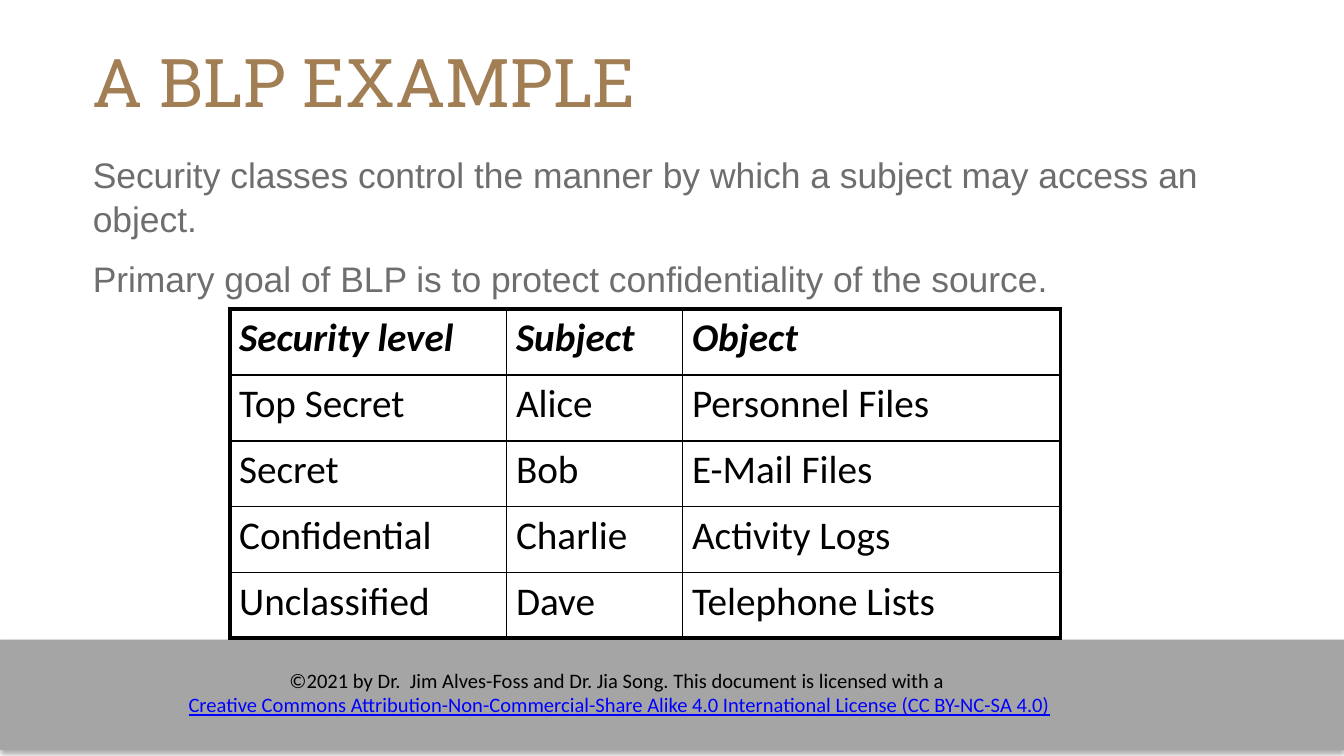
from lxml import etree
from pptx import Presentation
from pptx.dml.color import RGBColor
from pptx.enum.shapes import MSO_SHAPE
from pptx.enum.text import MSO_ANCHOR, MSO_AUTO_SIZE, PP_ALIGN
from pptx.oxml.ns import qn
from pptx.util import Inches, Pt

RECT = MSO_SHAPE.RECTANGLE
TOP = MSO_ANCHOR.TOP
NO_FIT = MSO_AUTO_SIZE.NONE
LEFT, CENTER = PP_ALIGN.LEFT, PP_ALIGN.CENTER

BLACK, BROWN, GRAY = "000000", "A27E55", "6E6E6E"
BAND, LINK, WHITE = "A5A5A5", "0000FF", "FFFFFF"
THIN, THICK = 1, 2.25

BODY = [
    "Security classes control the manner by which a subject may access an object.",
    "Primary goal of BLP is to protect confidentiality of the source.",
]
LICENSE = [
    "©2021 by Dr.  Jim Alves-Foss and Dr. Jia Song. This document is licensed with a ",
    "Creative Commons Attribution-Non-Commercial-Share Alike 4.0 International License (CC BY-NC-SA 4.0)",
]
LEVELS = [
    ("Security level", "Subject", "Object"),
    ("Top Secret", "Alice", "Personnel Files"),
    ("Secret", "Bob", "E-Mail Files"),
    ("Confidential", "Charlie", "Activity Logs"),
    ("Unclassified", "Dave", "Telephone Lists"),
]
COL_WIDTHS = [2.06, 1.31, 2.81]
ROW_HEIGHT = 0.49


def rgb(color):
    return RGBColor.from_string(color)


def write(tf, lines, font, size, color, align=LEFT, inset=(0, 0)):
    """Fill a text frame with one formatted paragraph per line."""
    tf.word_wrap = True
    tf.auto_size = NO_FIT
    tf.vertical_anchor = TOP
    tf.margin_left = tf.margin_right = Inches(inset[0])
    tf.margin_top = tf.margin_bottom = Inches(inset[1])
    tf.text = "\n".join(lines)
    for p in tf.paragraphs:
        p.alignment = align
        f = p.runs[0].font
        f.name, f.size = font, Pt(size)
        f.color.rgb = rgb(color)


def add_text(s, box, lines, *style, **options):
    tf = s.shapes.add_textbox(*map(Inches, box)).text_frame
    write(tf, lines, *style, **options)
    return tf


def add_title(s, text):
    title = s.shapes.title
    title.left, title.top = Inches(0.69), Inches(0.3)
    title.width, title.height = Inches(8.62), Inches(0.75)
    write(title.text_frame, [text], "Roboto Slab", 36, BROWN)


def add_band(s):
    """Gray footer band with a soft shadow below it."""
    band = s.shapes.add_shape(RECT, 0, Inches(4.76), Inches(10), Inches(0.82))
    band.fill.solid()
    band.fill.fore_color.rgb = rgb(BAND)
    band.line.fill.background()
    band.shadow.inherit = False
    effects = band.element.spPr.find(qn("a:effectLst"))
    shadow = etree.SubElement(effects, qn("a:outerShdw"), blurRad=str(Pt(3.1)),
                              dist=str(Pt(1.8)), dir="5400000", rotWithShape="0")
    color = etree.SubElement(shadow, qn("a:srgbClr"), val=BLACK)
    etree.SubElement(color, qn("a:alpha"), val="35000")


def set_borders(cell, widths):
    """Draw black borders; widths are left, right, top, bottom in points."""
    tcPr = cell._tc.get_or_add_tcPr()
    for i, (side, width) in enumerate(zip("LRTB", widths)):
        ln = etree.Element(qn(f"a:ln{side}"), w=str(Pt(width)))
        fill = etree.SubElement(ln, qn("a:solidFill"))
        etree.SubElement(fill, qn("a:srgbClr"), val=BLACK)
        tcPr.insert(i, ln)


def add_level_table(s):
    n_rows, n_cols = len(LEVELS), len(COL_WIDTHS)
    table = s.shapes.add_table(n_rows, n_cols, Inches(1.71), Inches(2.3),
                               Inches(sum(COL_WIDTHS)),
                               Inches(ROW_HEIGHT * n_rows)).table
    table.horz_banding = False
    for column, width in zip(table.columns, COL_WIDTHS):
        column.width = Inches(width)
    for r, texts in enumerate(LEVELS):
        table.rows[r].height = Inches(ROW_HEIGHT)
        for c, text in enumerate(texts):
            cell = table.cell(r, c)
            cell.text = text
            cell.vertical_anchor = TOP
            cell.margin_left = cell.margin_right = Inches(0.07)
            cell.margin_top = cell.margin_bottom = Inches(0.04)
            cell.fill.solid()
            cell.fill.fore_color.rgb = rgb(WHITE)
            f = cell.text_frame.paragraphs[0].runs[0].font
            f.name, f.size = "Calibri", Pt(21)
            f.color.rgb = rgb(BLACK)
            f.bold = f.italic = r == 0
            # Thick lines on the outer edge only
            outer = (c == 0, c == n_cols - 1, r == 0, r == n_rows - 1)
            set_borders(cell, [THICK if edge else THIN for edge in outer])


def main():
    prs = Presentation()
    # Widescreen, 16:9
    prs.slide_width = Inches(10)
    prs.slide_height = prs.slide_width * 9 // 16
    s = prs.slides.add_slide(prs.slide_layouts[5])

    # Footer
    add_band(s)
    tf = add_text(s, (1.01, 4.92, 7.2, 0.47), LICENSE, "Calibri", 11, BLACK,
                  align=CENTER, inset=(0.1, 0.05))
    f = tf.paragraphs[1].runs[0].font
    f.color.rgb = rgb(LINK)
    f.underline = True

    # Title and body
    add_title(s, "A BLP EXAMPLE")
    tf = add_text(s, (0.69, 1.13, 8.62, 3.94), BODY, "Arial", 19, GRAY)
    for p in tf.paragraphs:
        p.line_spacing = 1.03
    tf.paragraphs[1].space_before = Pt(9)

    # Security levels
    add_level_table(s)
    prs.save("out.pptx")


if __name__ == "__main__":
    main()
